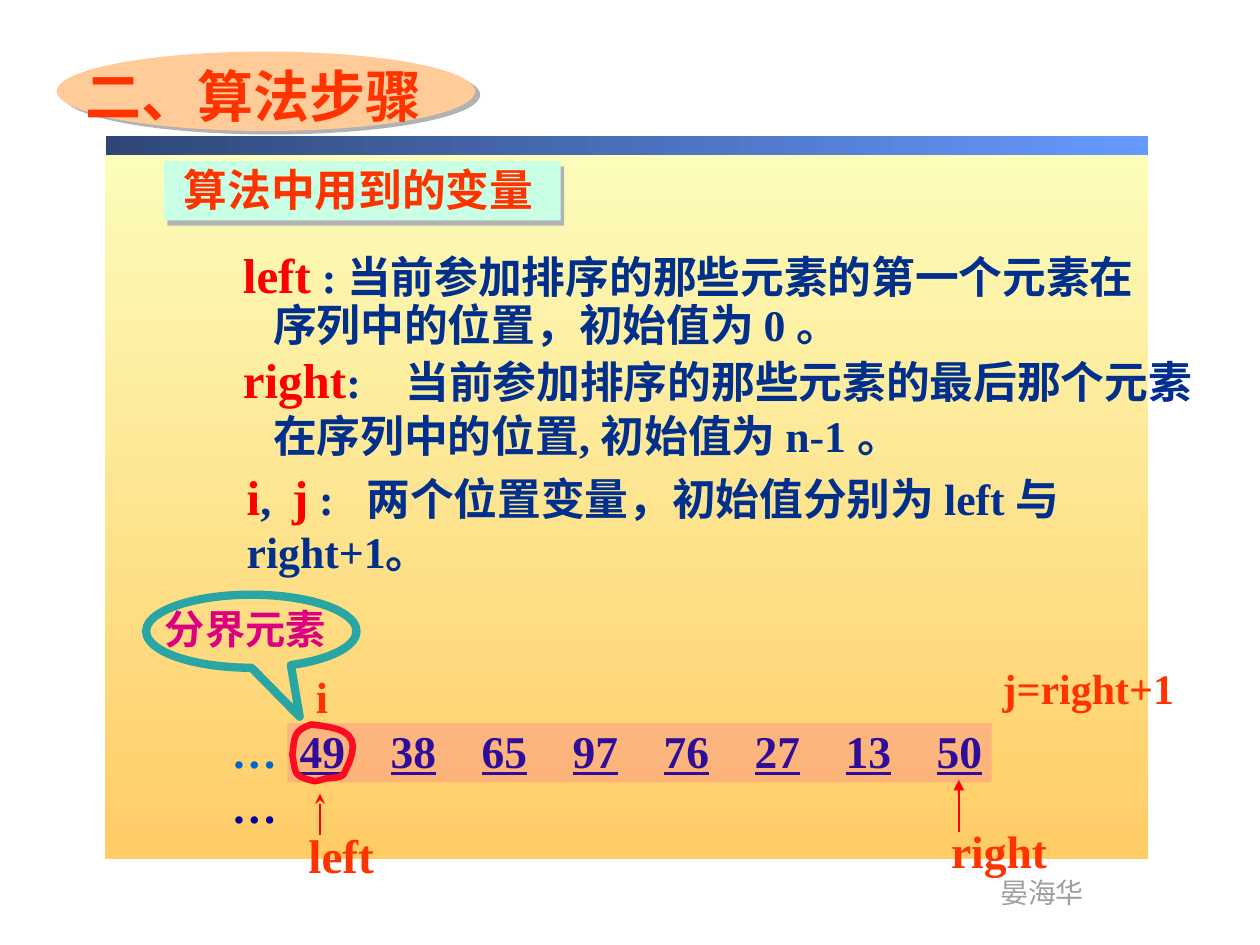
from lxml import etree
from pptx import Presentation
from pptx.dml.color import RGBColor
from pptx.enum.shapes import MSO_CONNECTOR, MSO_SHAPE
from pptx.oxml.ns import qn
from pptx.util import Inches, Pt

RECT = MSO_SHAPE.RECTANGLE
OVAL = MSO_SHAPE.OVAL
CALLOUT = MSO_SHAPE.OVAL_CALLOUT
STRAIGHT = MSO_CONNECTOR.STRAIGHT

SERIF = "Times New Roman"
SANS = "Noto Sans CJK SC"
RED, ORANGE, NAVY = "FF0000", "FF3300", "002F8C"


def color(code):
    return RGBColor.from_string(code)


def child(node, tag, **attrs):
    return etree.SubElement(node, qn(tag), attrs)


class Board:
    """Holds the text style and the slide being drawn."""

    def __init__(self, slide, font=SERIF, asian=SANS):
        self.slide = slide
        self.shapes = slide.shapes
        self.font = font
        self.asian = asian

    def shape(self, kind, box, fill=None, line=None, width=1):
        item = self.shapes.add_shape(kind, *map(Inches, box))
        self.paint(item, fill, line, width)
        return item

    def paint(self, item, fill, line, width):
        item.shadow.inherit = False
        if fill:
            item.fill.solid()
            item.fill.fore_color.rgb = color(fill)
        else:
            item.fill.background()
        if line:
            item.line.color.rgb = color(line)
            item.line.width = Pt(width)
        else:
            item.line.fill.background()

    def fade(self, box, ends, angle):
        item = self.shape(RECT, box)
        item.fill.gradient()
        item.fill.gradient_angle = angle
        for stop, code, place in zip(item.fill.gradient_stops, ends, (0, 1)):
            stop.color.rgb = color(code)
            stop.position = place

    def raised(self, kind, box, fill, angle):
        item = self.shape(kind, box, fill)
        effects = item._element.spPr.find(qn("a:effectLst"))
        shade = child(effects, "a:outerShdw", dist=str(Pt(3.6)),
                      dir=str(angle * 60000), algn="ctr", rotWithShape="0")
        child(shade, "a:srgbClr", val="B2B2B2")

    def tint(self, box, fill, alpha):
        item = self.shape(RECT, box, fill)
        tone = item._element.spPr.find(qn("a:solidFill"))[0]
        child(tone, "a:alpha", val=str(alpha * 1000))

    def text(self, box, *rows, spacing=None):
        item = self.shapes.add_textbox(*map(Inches, box))
        frame = item.text_frame
        frame.word_wrap = True
        for index, row in enumerate(rows):
            para = frame.paragraphs[0] if index == 0 else frame.add_paragraph()
            self.fill(para, **row)
            if spacing:
                para.line_spacing = spacing

    def fill(self, para, runs, indent=0, before=0, tabs=()):
        props = para._p.get_or_add_pPr()
        props.set("marL", str(Inches(indent)))
        if tabs:
            stops = child(props, "a:tabLst")
            for place in tabs:
                child(stops, "a:tab", pos=str(Inches(place)), algn="l")
        if before:
            para.space_before = Pt(before)
        for words, size, code, *under in runs:
            run = para.add_run()
            run.text = words
            font = run.font
            font.size, font.bold, font.name = Pt(size), True, self.font
            font.color.rgb = color(code)
            if under:
                font.underline = True
            child(run._r.get_or_add_rPr(), "a:ea", typeface=self.asian)

    def label(self, box, words, size, code=ORANGE):
        self.text(box, {"runs": [(words, size, code)]})

    def plain(self, box, words, size, code, face):
        item = self.shapes.add_textbox(*map(Inches, box))
        item.text_frame.word_wrap = True
        item.text_frame.text = words
        font = item.text_frame.paragraphs[0].runs[0].font
        font.size, font.name = Pt(size), face
        font.color.rgb = color(code)

    def arrow(self, start, end, width, head):
        item = self.shapes.add_connector(STRAIGHT, *map(Inches, start + end))
        item.line.color.rgb = color(RED)
        item.line.width = Pt(width)
        props = item._element.spPr
        child(item.line._get_or_add_ln(), "a:tailEnd", type=head)
        child(props, "a:effectLst")

    def loop(self, start, curves, line, width, steps=10):
        points, last = [], start
        for curve in curves:
            nodes = (last, *curve)
            for step in range(1, steps + 1):
                t = step / steps
                parts = ((1 - t) ** 3, 3 * t * (1 - t) ** 2,
                         3 * t * t * (1 - t), t ** 3)
                points.append(tuple(
                    Inches(sum(p * n[axis] for p, n in zip(parts, nodes)))
                    for axis in (0, 1)))
            last = curve[-1]
        builder = self.shapes.build_freeform(*map(Inches, start), scale=1.0)
        builder.add_line_segments(points, close=True)
        self.paint(builder.convert_to_shape(), None, line, width)


def main():
    deck = Presentation()
    deck.slide_width, deck.slide_height = Inches(10), Inches(7.5)
    board = Board(deck.slides.add_slide(deck.slide_layouts[6]))

    board.fade((0.83, 1.1, 8.28, 5.72), ("FCFEBC", "FFCC66"), 270)
    board.fade((0.84, 1.08, 8.27, 0.15), ("2F4776", "6699FF"), 0)
    board.plain((7.84, 6.9, 1.1, 0.37), "晏海华", 16, "9F9F9F", "Arial Narrow")

    board.text(
        (1.83, 1.94, 7.81, 1.78),
        {"runs": [("left", 28, RED),
                  (" : 当前参加排序的那些元素的第一个元素在", 25, NAVY)]},
        {"runs": [("序列中的位置，初始值为 0 。", 25, NAVY)], "indent": 0.24},
        {"runs": [("right", 28, RED),
                  (":\t当前参加排序的那些元素的最后那个元素", 25, NAVY)],
         "before": 3, "tabs": [1.29]},
        {"runs": [("在序列中的位置, 初始值为 n-1 。", 25, NAVY)],
         "indent": 0.24, "before": 3},
        spacing=0.9)
    board.text(
        (1.86, 3.65, 7.95, 0.57),
        {"runs": [("i", 28, RED), (",\t", 25, NAVY), ("j", 28, RED),
                  (" :\t两个位置变量，初始值分别为 left 与 right+1。", 25, NAVY)],
         "tabs": [0.36, 0.95]})

    values = (49, 38, 65, 97, 76, 27, 13, 50)
    dots = "0066CC"
    board.text(
        (1.74, 5.69, 6.79, 0.53),
        {"runs": [("…\t", 26, dots),
                  ("\t".join(map(str, values)), 26, "000099", True)],
         "tabs": [0.54 + 0.722 * k for k in range(len(values))]},
        {"runs": [("…", 26, "000099")]})

    board.label((2.41, 5.27, 0.5, 0.52), "i", 25)
    board.label((7.86, 5.21, 1.78, 0.5), "j=right+1", 24)
    board.label((2.35, 6.51, 1, 0.56), "left", 27)
    board.arrow((2.54, 6.63), (2.54, 6.3), 1.25, "stealth")
    board.label((7.45, 6.48, 1.2, 0.54), "right", 26)
    board.arrow((7.61, 6.6), (7.61, 6.19), 1.5, "triangle")

    board.raised(RECT, (1.3, 1.28, 3.15, 0.47), "C9FFE4", 56)
    board.label((1.36, 1.24, 3.55, 0.52), "算法中用到的变量", 25)

    bubble = board.shape(CALLOUT, (1.16, 4.72, 1.67, 0.58),
                         line="29A6A3", width=4.75)
    bubble.adjustments[0], bubble.adjustments[1] = 0.23, 1.17
    board.label((1.21, 4.75, 1.93, 0.48), "分界元素", 23, "DC0081")
    board.loop((2.32, 5.99), (
        ((2.34, 5.86), (2.32, 5.8), (2.47, 5.75)),
        ((2.74, 5.78), (2.9, 5.82), (2.73, 6.14)),
        ((2.71, 6.18), (2.63, 6.17), (2.58, 6.18)),
        ((2.55, 6.19), (2.5, 6.2), (2.5, 6.2)),
        ((2.32, 6.16), (2.35, 6.14), (2.32, 5.99))), RED, 3.75)

    board.raised(OVAL, (0.45, 0.41, 3.32, 0.63), "FFCC99", 34)
    board.label((0.58, 0.44, 4.14, 0.63), "二、算法步骤", 32)
    board.tint((2.28, 5.74, 5.59, 0.47), "F13DA4", 20)

    deck.save("out.pptx")


if __name__ == "__main__":
    main()
